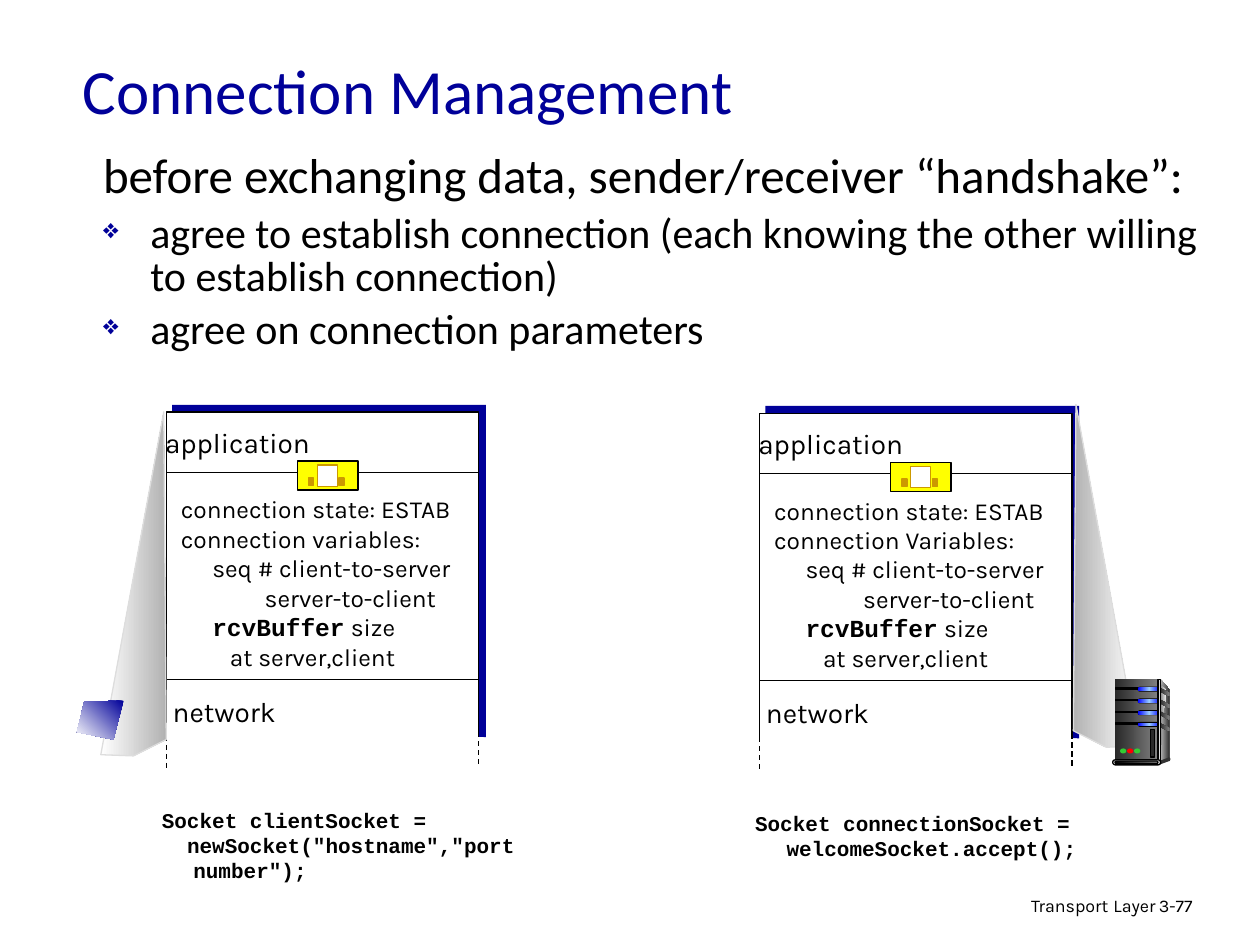
"""Build the Connection Management slide."""
from copy import deepcopy
from dataclasses import dataclass
from typing import Optional

from lxml import etree
from pptx import Presentation
from pptx import util as u
from pptx.dml.color import RGBColor
from pptx.enum import dml, shapes, text
from pptx.oxml import ns

NAVY = RGBColor(0x00, 0x00, 0x99)
BLACK = RGBColor(0x00, 0x00, 0x00)
WHITE = RGBColor(0xFF, 0xFF, 0xFF)
YELLOW = RGBColor(0xFF, 0xFF, 0x00)
OCHRE = RGBColor(0xCC, 0x99, 0x00)
CONE_GRAY = RGBColor(0xB2, 0xB2, 0xB2)
PALE = RGBColor(0xDD, 0xDD, 0xDD)
SILVER = RGBColor(0xF8, 0xF8, 0xF8)
GRAY = RGBColor(0x80, 0x80, 0x80)
DARK = RGBColor(0x33, 0x33, 0x33)
COAL = RGBColor(0x29, 0x29, 0x29)
BLUE = RGBColor(0x00, 0x00, 0xFF)
SKY = RGBColor(0x99, 0xCC, 0xFF)
GREEN = RGBColor(0x33, 0xCC, 0x33)
RED = RGBColor(0xFF, 0x00, 0x00)

RECTANGLE = shapes.MSO_SHAPE.RECTANGLE
ROUNDED = shapes.MSO_SHAPE.ROUNDED_RECTANGLE
OVAL = shapes.MSO_SHAPE.OVAL
BODY, LABEL, CODE = "Calibri", "Karla", "Courier New"


@dataclass(frozen=True)
class Run:
    words: str
    size: float
    font: str = LABEL
    color: RGBColor = BLACK
    bold: bool = False


@dataclass(frozen=True)
class Line:
    runs: tuple
    margin: float = 0
    indent: float = 0
    spacing: Optional[float] = None
    before: float = 0
    bullet: str = ""
    align: text.PP_ALIGN = text.PP_ALIGN.LEFT


@dataclass(frozen=True)
class Endpoint:
    left: float
    top: float
    variables: str
    direction_margin: float
    cone: tuple
    cone_colors: tuple
    code: tuple
    code_top: float


ENDPOINTS = (
    Endpoint(95, 235.5, "connection variables:", 48,
             ((57.6, 431.3), (93.6, 235.4), (95, 422.6), (76.3, 432)), (WHITE, CONE_GRAY),
             (Line((Run("Socket clientSocket =", 12, CODE, bold=True),), 18, -18),
              Line((Run('newSocket("hostname","port number");', 12, CODE, bold=True),), 18, -3.6)),
             457.9),
    Endpoint(434, 236.2, "connection Variables:", 51,
             ((650.2, 426.2), (614.9, 231.1), (613.4, 417.6), (632.2, 427)), (CONE_GRAY, WHITE),
             (Line((Run("Socket connectionSocket = welcomeSocket.accept();", 12, CODE, bold=True),), 18, -18),),
             459.4),
)


def paint(shape, colors: tuple, outline: Optional[RGBColor], angle: float) -> None:
    shape.shadow.inherit = False
    if len(colors) == 1:
        shape.fill.solid()
        shape.fill.fore_color.rgb = colors[0]
    else:
        shape.fill.gradient()
        shape.fill.gradient_angle = angle
        stop_list = shape._element.spPr.find(".//" + ns.qn("a:gsLst"))
        for _ in colors[2:]:
            stop_list.append(deepcopy(stop_list[-1]))
        for index, stop in enumerate(shape.fill.gradient_stops):
            stop.color.rgb = colors[index]
            stop.position = index / (len(colors) - 1)
    if outline is None:
        shape.line.fill.background()
    else:
        shape.line.color.rgb = outline
        shape.line.width = u.Pt(0.75)


def add_block(parent, box: tuple, *colors: RGBColor, kind=RECTANGLE,
              outline: Optional[RGBColor] = None) -> None:
    shape = parent.add_shape(kind, *map(u.Pt, box))
    if kind == ROUNDED:
        shape.adjustments[0] = 0.5
    paint(shape, colors, outline, 0)


def add_polygon(parent, points, *colors: RGBColor, outline: Optional[RGBColor] = None,
                angle: float = 0) -> None:
    corners = [(u.Pt(x), u.Pt(y)) for x, y in points]
    builder = parent.build_freeform(*corners[0])
    builder.add_line_segments(corners[1:], close=True)
    paint(builder.convert_to_shape(), colors, outline, angle)


def add_rule(parent, start: tuple, end: tuple, dashed: bool = False) -> None:
    connector = parent.add_connector(shapes.MSO_CONNECTOR.STRAIGHT, *map(u.Pt, start + end))
    connector.line.color.rgb = BLACK
    connector.line.width = u.Pt(0.75)
    if dashed:
        connector.line.dash_style = dml.MSO_LINE.DASH
    etree.SubElement(connector._element.spPr, ns.qn("a:effectLst"))


def add_bullet(properties, character: str) -> None:
    color = etree.SubElement(properties, ns.qn("a:buClr"))
    etree.SubElement(color, ns.qn("a:srgbClr"), val=str(NAVY))
    etree.SubElement(properties, ns.qn("a:buSzPct"), val="65000")
    etree.SubElement(properties, ns.qn("a:buChar"), char=character)


def add_text(parent, box: tuple, *lines: Line, wrap: bool = True,
             anchor=text.MSO_ANCHOR.TOP) -> None:
    frame = parent.add_textbox(*map(u.Pt, box)).text_frame
    frame.word_wrap = wrap
    frame.vertical_anchor = anchor
    for index, line in enumerate(lines):
        paragraph = frame.add_paragraph() if index else frame.paragraphs[0]
        properties = paragraph._p.get_or_add_pPr()
        properties.set("marL", str(u.Pt(line.margin)))
        properties.set("indent", str(u.Pt(line.indent)))
        if line.bullet:
            add_bullet(properties, line.bullet)
        paragraph.alignment = line.align
        paragraph.line_spacing = line.spacing
        if line.before:
            paragraph.space_before = u.Pt(line.before)
        for item in line.runs:
            run = paragraph.add_run()
            run.text = item.words
            run.font.size = u.Pt(item.size)
            run.font.name = item.font
            run.font.bold = item.bold
            run.font.color.rgb = item.color


def add_endpoint(parent, endpoint: Endpoint) -> None:
    left, top = endpoint.left, endpoint.top
    add_block(parent, (left + 3.4, top - 4.2, 179.3, 190), NAVY)
    add_block(parent, (left, top, 178.6, 194.4), WHITE, outline=BLACK)
    for height in (34.5, 152.6):
        add_rule(parent, (left, top + height), (left + 178.8, top + height))
    add_text(parent, (left + 1.2, top + 43.5, 183.6, 125.3),
             Line((Run("connection state: ESTAB", 14),)),
             Line((Run(endpoint.variables, 14),)),
             Line((Run("seq # client-to-server", 14),), 18),
             Line((Run("server-to-client", 14),), endpoint.direction_margin),
             Line((Run("rcvBuffer", 14, CODE, bold=True), Run(" size", 14)), 18),
             Line((Run("at server,client", 14),), 28))
    door = parent.add_group_shape().shapes
    add_block(door, (left + 74.9, top + 28, 34.6, 16.6), YELLOW, outline=BLACK)
    add_block(door, (left + 86.4, top + 30.2, 11.5, 12.2), WHITE, outline=OCHRE)
    for offset in (81.4, 98.8):
        add_block(door, (left + offset, top + 37.6, 2.9, 4.3), OCHRE, outline=OCHRE)
    for words, x, y, width in (("application", -7.9, 4.3, 97.2), ("network", -5, 157.7, 76.3)):
        add_text(parent, (left + x, top + y, width, 26.6),
                 Line((Run(words, 16),), align=text.PP_ALIGN.CENTER), wrap=False)
    add_block(parent, (left - 2.2, top + 185.8, 183.6, 14.4), WHITE)
    for x, y in ((0, 185), (178.6, 182.9)):
        add_rule(parent, (left + x, top + y), (left + x, top + y + 18.7), dashed=True)
    add_polygon(parent, endpoint.cone, *endpoint.cone_colors, outline=PALE)
    add_text(parent, (left - 9.6, endpoint.code_top, 227.5, 50.4), *endpoint.code)


def add_server(parent) -> None:
    server = parent.add_group_shape().shapes
    add_polygon(server, ((663.1, 388.1), (668.2, 393.8), (668.2, 432.7), (661.7, 434.9)), PALE, DARK)
    add_block(server, (637.2, 388.1, 24.5, 46.8), COAL, GRAY)
    add_polygon(server, ((663.1, 391), (666.7, 394.6), (664, 412), (663.1, 433.4)), GRAY, SILVER)
    for bay in range(4):
        y = 392.4 + 6.7 * bay
        add_block(server, (637.5, y + 0.7, 13.7, 0.7), BLACK, outline=BLACK)
        add_block(server, (650, y, 13.7, 2.9), BLACK, kind=ROUNDED)
        add_block(server, (650.2, y + 0.4, 13, 2.2), BLUE, SKY, BLUE, kind=ROUNDED)
        add_polygon(server, ((662.8, y + 0.7), (668.2, y + 3.4), (668.2, y + 5.5), (662.8, y + 2.8)),
                    COAL, GRAY)
    add_block(server, (661.7, 388.1, 1.4, 46.8), DARK, PALE, DARK, outline=BLACK)
    add_block(server, (667.4, 432.7, 1.4, 2.2), DARK, kind=OVAL)
    add_polygon(server, ((662.4, 434.9), (662.4, 437), (668.2, 434.9), (668.2, 432.7)), DARK)
    add_block(server, (635.8, 434.2, 27.4, 2.9), PALE, kind=ROUNDED, outline=BLACK)
    add_block(server, (637.2, 434.9, 24.5, 1.4), BLACK, GRAY, kind=ROUNDED, outline=BLACK)
    for index, color in enumerate((GREEN, RED, GREEN)):
        add_block(server, (640 + 4 * index, 427.7, 3.6, 2.9), color, kind=OVAL)
    add_block(server, (657.4, 416.9, 2.2, 15.8), COAL, outline=BLACK)


def main() -> None:
    presentation = Presentation()
    presentation.slide_width, presentation.slide_height = u.Pt(720), u.Pt(540)
    parent = presentation.slides.add_slide(presentation.slide_layouts[6]).shapes
    add_text(parent, (439.2, 507.6, 228.2, 22.3),
             Line((Run("Transport", 10.2), Run(" ", 11.9), Run("Layer", 10.2)),
                  spacing=0.9, align=text.PP_ALIGN.RIGHT))
    add_text(parent, (655.2, 509, 53.3, 21.6), Line((Run("3-77", 10.2),), spacing=0.9))
    add_text(parent, (40.3, 15.1, 612, 72), Line((Run("Connection Management", 36, BODY, NAVY),)),
             anchor=text.MSO_ANCHOR.MIDDLE)
    goals = ("agree to establish connection (each knowing the other willing to establish connection)",
             "agree on connection parameters")
    add_text(parent, (51.8, 84.2, 656.6, 172),
             Line((Run("before exchanging data, sender/receiver “handshake”:", 28, BODY),), 27, -27, 0.85),
             *(Line((Run(goal, 24, BODY),), 27, -27, 0.85, 6, "❖") for goal in goals))
    for endpoint in ENDPOINTS:
        add_endpoint(parent, endpoint)
    add_polygon(parent, ((70.6, 400.3), (48.2, 401), (43.9, 418.3), (64.8, 422.6)), NAVY, WHITE, angle=225)
    add_server(parent)
    presentation.save("out.pptx")


if __name__ == "__main__":
    main()
